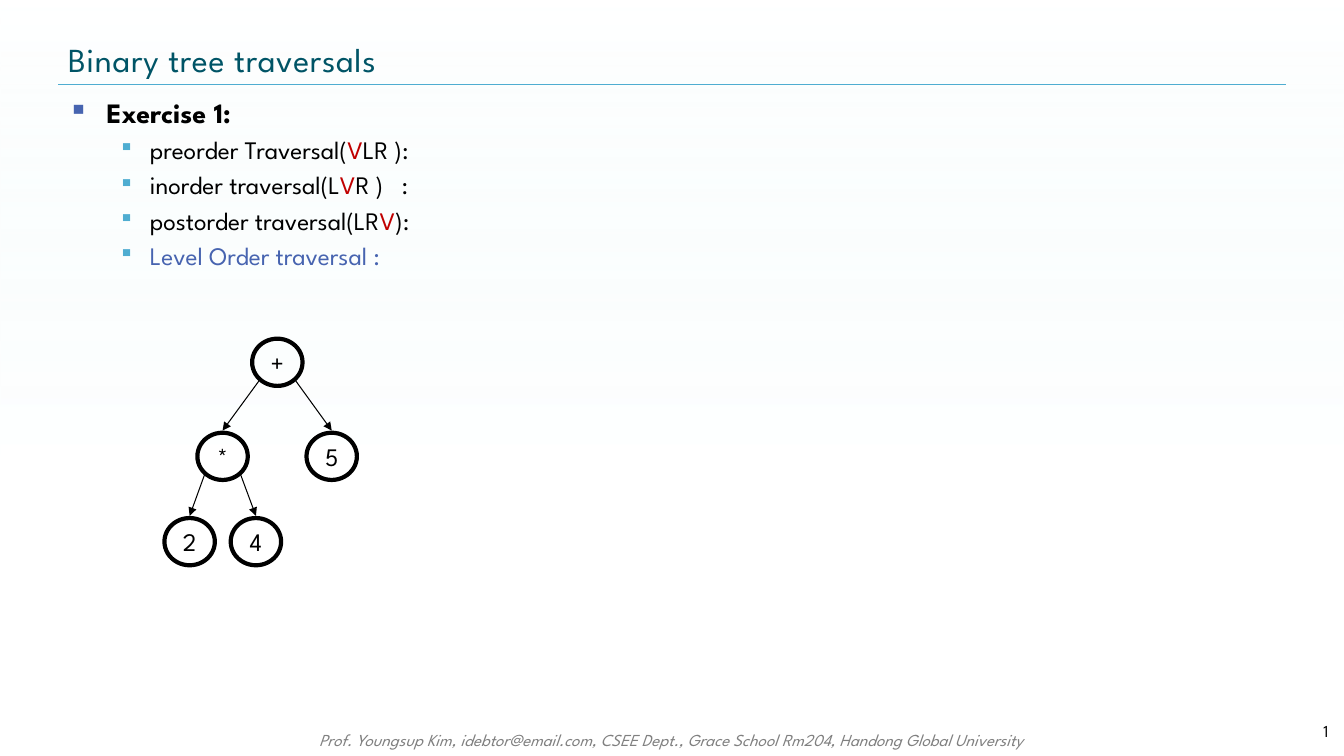
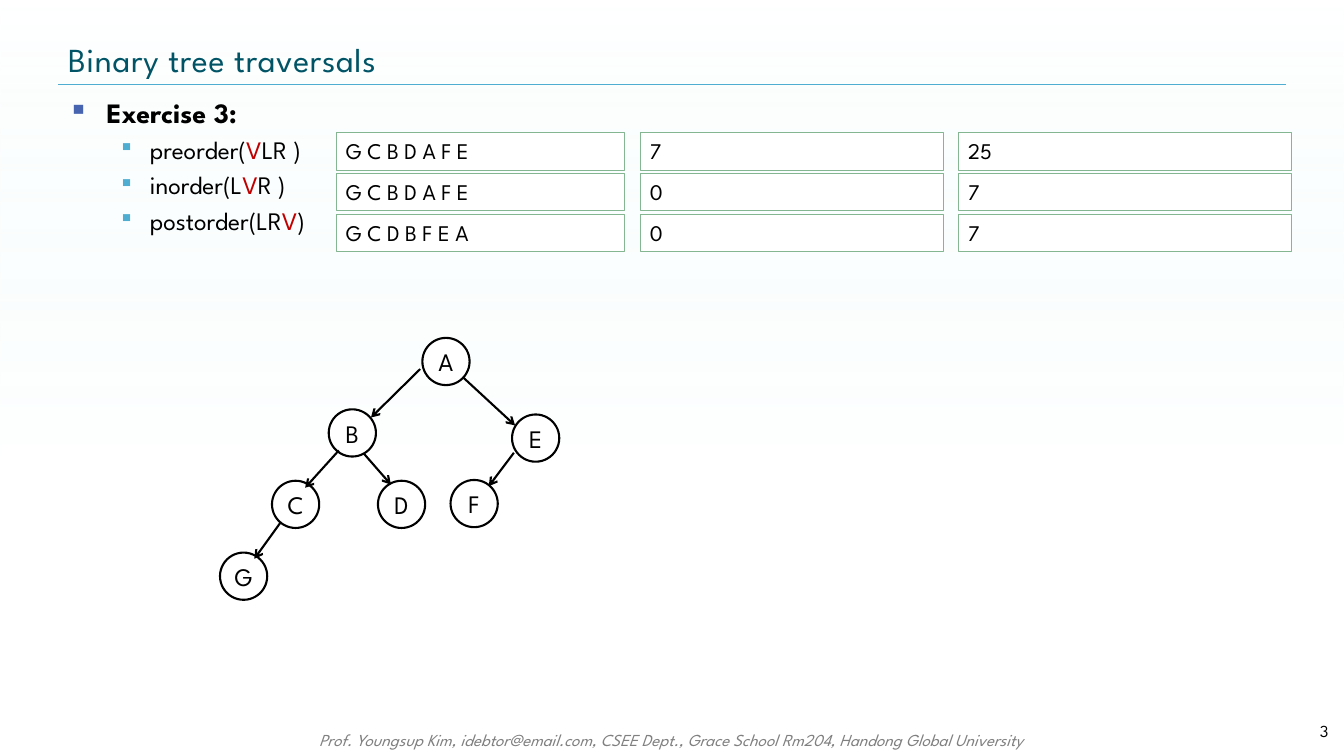
import dataclasses

import lxml.etree
import pptx
import pptx.dml.color
import pptx.enum.shapes
import pptx.enum.text
import pptx.oxml.ns
import pptx.util

Cm = pptx.util.Cm
Pt = pptx.util.Pt
ALIGN = pptx.enum.text.PP_ALIGN
ANCHOR = pptx.enum.text.MSO_ANCHOR
SHAPE = pptx.enum.shapes.MSO_SHAPE


@dataclasses.dataclass(frozen=True)
class Theme:
    font: str = "League Spartan"
    ink: str = "000000"
    paper: str = "FFFFFF"
    tint: str = "D9F3F4"
    title: str = "005466"
    rule: str = "4FADD1"
    accent: str = "4764B0"
    visit: str = "C00000"
    answer: str = "85B692"
    muted: str = "808080"
    title_size: int = 24
    heading_size: int = 20
    body_size: int = 18
    answer_size: int = 16
    small_size: int = 12


@dataclasses.dataclass(frozen=True)
class TreeStyle:
    width: float
    height: float
    outline: float
    arrow: float
    head: str
    fill: str = ""


THEME = Theme()
WIDTH, HEIGHT = 33.87, 19.05
# Boxes are left, top, width, height in centimetres
TITLE_BOX = (1.47, 0.86, 30.94, 1.27)
BODY_BOX = (1.47, 2.29, 30.94, 15.62)
FOOTER_BOX = (5.03, 18.26, 23.8, 0.76)
NUMBER_BOX = (30.76, 17.91, 2.97, 1.02)


def color(code):
    return pptx.dml.color.RGBColor.from_string(code)


def add_xml(parent, tag, **attributes):
    child = lxml.etree.SubElement(parent, pptx.oxml.ns.qn(tag))
    for name, value in attributes.items():
        child.set(name, str(value))
    return child


# Text
def add_span(para, text, size=THEME.body_size, ink=THEME.ink, bold=False,
             italic=False, spacing=0):
    span = para.add_run()
    span.text = text
    span.font.name = THEME.font
    span.font.size = Pt(size)
    span.font.bold = bold
    span.font.italic = italic
    span.font.color.rgb = color(ink)
    if spacing:
        span.font._element.set("spc", str(int(spacing * 100)))


def write(shape, text, align=ALIGN.LEFT, anchor=ANCHOR.TOP, wrap=True, **style):
    frame = shape.text_frame
    frame.word_wrap = wrap
    frame.vertical_anchor = anchor
    para = frame.paragraphs[0]
    para.alignment = align
    add_span(para, text, **style)


def add_textbox(page, box):
    return page.shapes.add_textbox(*map(Cm, box))


def set_bullet(para, indent, hang, ink, percent=100, tab=None):
    props = para._p.get_or_add_pPr()
    props.set("marL", str(Cm(indent)))
    props.set("indent", str(-Cm(hang)))
    add_xml(add_xml(props, "a:spcBef"), "a:spcPct", val=20000)
    add_xml(add_xml(props, "a:buClr"), "a:srgbClr", val=ink)
    add_xml(props, "a:buSzPct", val=percent * 1000)
    add_xml(props, "a:buChar", char="▪")
    if tab:
        add_xml(add_xml(props, "a:tabLst"), "a:tab", pos=Cm(tab), algn="l")


# Shapes
def style_shape(shape, line, weight, fill):
    shape.shadow.inherit = False
    if fill:
        shape.fill.solid()
        shape.fill.fore_color.rgb = color(fill)
    else:
        shape.fill.background()
    shape.line.color.rgb = color(line)
    shape.line.width = Pt(weight)


def add_line(shapes, start, end, ink, weight, head=None):
    line = shapes.add_connector(pptx.enum.shapes.MSO_CONNECTOR.STRAIGHT,
                                *map(Cm, (*start, *end)))
    line.line.width = Pt(weight)
    line.line.color.rgb = color(ink)
    if head:
        add_xml(line.line._get_or_add_ln(), "a:tailEnd", type=head)
    add_xml(line._element.spPr, "a:effectLst")


# Shared frame: background, footer, rule, title, page number
def add_background(page):
    back = page.shapes.add_shape(SHAPE.RECTANGLE, 0, 0, Cm(WIDTH), Cm(HEIGHT))
    back.shadow.inherit = False
    back.line.fill.background()
    back.fill.gradient()
    back.fill.gradient_angle = 270
    stops = ((THEME.tint, 0, 0), (THEME.paper, 0.61, 40))
    for stop, (ink, position, alpha) in zip(back.fill.gradient_stops, stops):
        stop.color.rgb = color(ink)
        stop.position = position
        add_xml(stop._gs[0], "a:alpha", val=alpha * 1000)


def add_page(deck, title, number):
    page = deck.slides.add_slide(deck.slide_layouts[6])
    add_background(page)
    write(add_textbox(page, FOOTER_BOX),
          "Prof. Youngsup Kim, idebtor@email.com, CSEE Dept., "
          "Grace School Rm204, Handong Global University",
          align=ALIGN.CENTER, size=THEME.small_size, ink=THEME.muted, italic=True)
    left, top, width, height = TITLE_BOX
    bottom = top + height
    add_line(page.shapes, (left, bottom), (left + width, bottom), THEME.rule, 0.25)
    write(add_textbox(page, TITLE_BOX), title, anchor=ANCHOR.MIDDLE,
          size=THEME.title_size, ink=THEME.title, spacing=0.5)
    write(add_textbox(page, NUMBER_BOX), str(number), align=ALIGN.RIGHT,
          anchor=ANCHOR.MIDDLE, size=THEME.small_size)
    return page


# Body: a heading and its traversals; each V is highlighted
def add_body(page, box, heading, traversals, closing=None):
    frame = add_textbox(page, box).text_frame
    frame.word_wrap = True
    para = frame.paragraphs[0]
    set_bullet(para, 0.97, 0.97, THEME.accent)
    add_span(para, heading, size=THEME.heading_size, bold=True)
    lines = [(text, THEME.ink) for text in traversals]
    if closing:
        lines.append((closing, THEME.accent))
    for text, ink in lines:
        para = frame.add_paragraph()
        para.level = 1
        set_bullet(para, 2.06, 0.79, THEME.rule, percent=85,
                   tab=8.4 if "\t" in text else None)
        before, visit, after = text.partition("V")
        for part, shade in ((before, ink), (visit, THEME.visit), (after, ink)):
            if part:
                add_span(para, part, ink=shade)


# Tree: node centres are relative to the corner of the tree;
# edges leave and arrive at offsets from the node centres
def add_tree(page, corner, nodes, edges, style):
    shapes = page.shapes.add_group_shape().shapes
    centers = {label: (corner[0] + x, corner[1] + y)
               for label, (x, y) in nodes.items()}
    for label, (x, y) in centers.items():
        node = shapes.add_shape(
            SHAPE.OVAL, Cm(x - style.width / 2), Cm(y - style.height / 2),
            Cm(style.width), Cm(style.height))
        style_shape(node, THEME.ink, style.outline, style.fill)
        write(node, label, align=ALIGN.CENTER, anchor=ANCHOR.MIDDLE, wrap=False)
    for parent, child, leave, arrive in edges:
        start, end = (
            tuple(place + shift for place, shift in zip(centers[label], offset))
            for label, offset in ((parent, leave), (child, arrive)))
        add_line(shapes, start, end, THEME.ink, style.arrow, style.head)


# Answers: one column of boxes per question
def add_answers(page, top, columns, height=0.94, pitch=1.03):
    for left, width, answers in columns:
        for row, answer in enumerate(answers):
            cell = page.shapes.add_shape(
                SHAPE.RECTANGLE, Cm(left), Cm(top + row * pitch),
                Cm(width), Cm(height))
            style_shape(cell, THEME.answer, 0.25, THEME.paper)
            write(cell, answer, size=THEME.answer_size)


def add_expression_page(deck):
    page = add_page(deck, "Binary tree traversals", 1)
    add_body(page, BODY_BOX, "Exercise 1:",
             ["preorder Traversal(VLR ):", "inorder traversal(LVR )\t:",
              "postorder traversal(LRV):"],
             closing="Level Order traversal :")
    nodes = {"+": (2.85, 0.6), "*": (1.47, 2.97), "5": (4.22, 2.97),
             "2": (0.64, 5.12), "4": (2.31, 5.12)}
    children = {"+": "*5", "*": "24"}
    edges = [(parent, child, (side * 0.45, 0.45), (0, -0.65))
             for parent, pair in children.items()
             for side, child in zip((-1, 1), pair)]
    add_tree(page, (4.14, 8.53), nodes, edges,
             TreeStyle(1.27, 1.19, outline=3, arrow=0.75, head="triangle"))


def add_letter_page(deck):
    page = add_page(deck, "Binary tree traversals", 3)
    add_body(page, BODY_BOX, "Exercise 3:",
             ["preorder(VLR )", "inorder(LVR )", "postorder(LRV)"])
    nodes = {"A": (5.7, 0.6), "B": (3.34, 2.4), "E": (7.96, 2.53),
             "C": (1.91, 4.2), "D": (4.58, 4.2), "F": (6.41, 4.18),
             "G": (0.6, 6.01)}
    edges = [("A", "B", (-0.65, 0.19), (0.47, -0.39)),
             ("A", "E", (0.42, 0.39), (-0.52, -0.32)),
             ("B", "C", (-0.34, 0.44), (0.24, -0.42)),
             ("B", "D", (0.29, 0.52), (-0.27, -0.5)),
             ("C", "G", (-0.39, 0.47), (0.27, -0.44)),
             ("E", "F", (-0.55, 0.37), (0.37, -0.44))]
    add_tree(page, (5.54, 8.51), nodes, edges,
             TreeStyle(1.19, 1.19, outline=1.5, arrow=1.5, head="arrow",
                       fill=THEME.paper))
    add_answers(page, 3.34, [
        (8.47, 7.25, ("G C B D A F E", "G C B D A F E", "G C D B F E A")),
        (16.13, 7.64, ("7", "0", "0")),
        (24.15, 8.38, ("25", "7", "7"))])


deck = pptx.Presentation()
deck.slide_width, deck.slide_height = Cm(WIDTH), Cm(HEIGHT)
add_expression_page(deck)
add_letter_page(deck)
deck.save("out.pptx")
